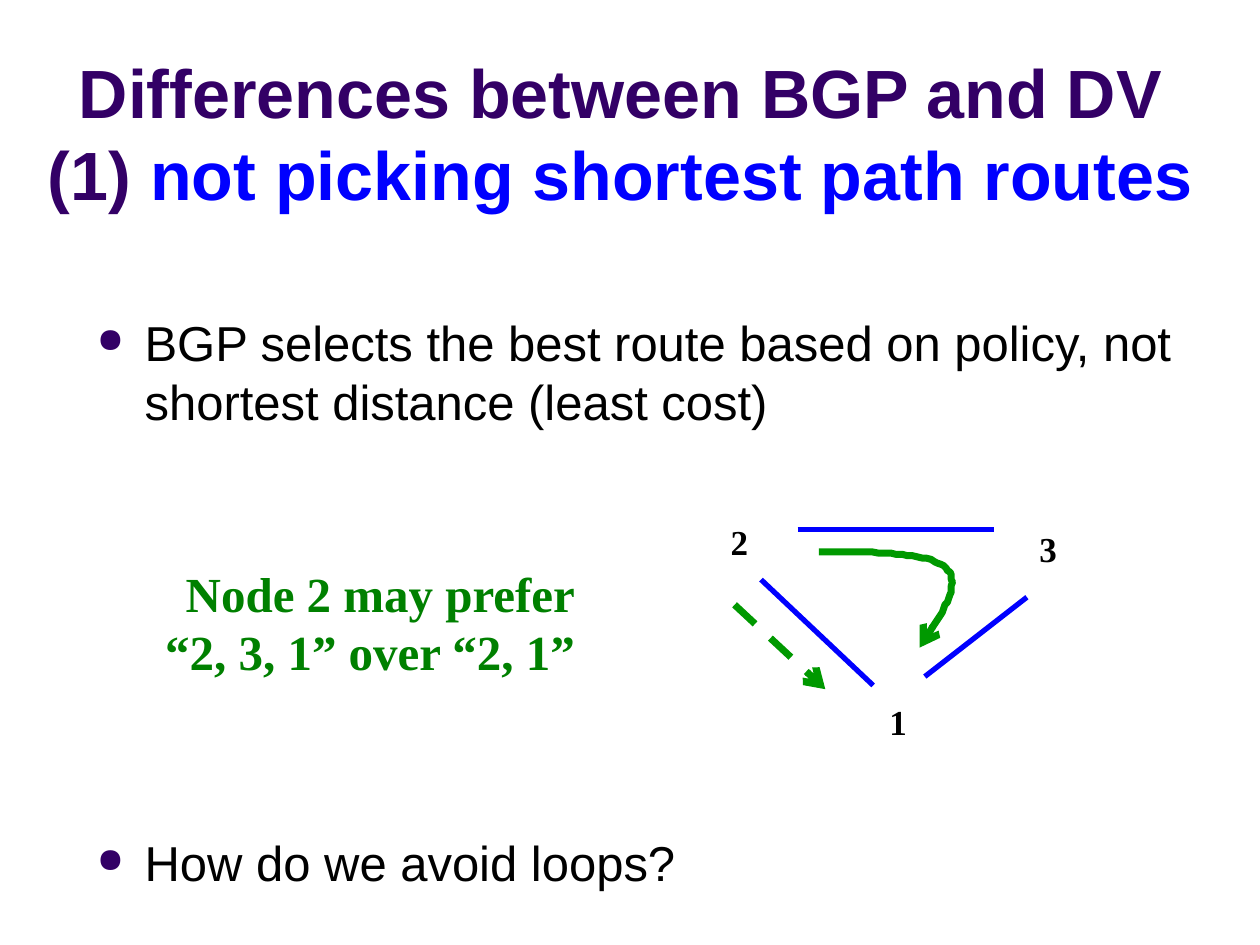
from typing import NamedTuple

from lxml import etree
from pptx import Presentation
from pptx import util as u
from pptx.dml.color import RGBColor
from pptx.enum import dml, shapes, text
from pptx.oxml.ns import qn

PX = 9144  # EMU per px, 100 px to the inch

PURPLE = RGBColor(0x33, 0x00, 0x66)
BLUE = RGBColor(0x00, 0x00, 0xFF)
BLACK = RGBColor(0x00, 0x00, 0x00)
ROUTE_GREEN = RGBColor(0x00, 0x99, 0x00)
NOTE_GREEN = RGBColor(0x00, 0x80, 0x00)
SANS, SERIF = "Arial", "Times New Roman"


class Point(NamedTuple):
    x: int
    y: int


class Node(NamedTuple):
    name: str
    left: int
    top: int


class Link(NamedTuple):
    start: Point
    end: Point


class Bullet(NamedTuple):
    words: str
    space_before: int  # points


NODES = [Node("2", 570, 408), Node("3", 815, 414), Node("1", 696, 551)]
LINKS = [
    Link(Point(633, 420), Point(789, 420)),
    Link(Point(815, 474), Point(734, 537)),
    Link(Point(604, 460), Point(693, 544)),
]
DIRECT_ROUTE = Link(Point(583, 480), Point(655, 547))
# Cubic curves of the preferred route: start, two controls, end
PREFERRED_ROUTE = [
    (Point(650, 438), Point(693, 438), Point(737, 438), Point(751, 451)),
    (Point(751, 451), Point(764, 463), Point(747, 489), Point(730, 514)),
]
BULLETS = [
    Bullet("BGP selects the best route based on policy, not "
           "shortest distance (least cost)", 0),
    Bullet("How do we avoid loops?", 230),
]


def set_font(font, name: str, size: int, color: RGBColor, bold: bool) -> None:
    font.name, font.size, font.bold = name, u.Pt(size), bold
    font.color.rgb = color


def add_box(slide, left: int, top: int, width: int, height: int, wrap: bool = True):
    box = slide.shapes.add_textbox(left * PX, top * PX, width * PX, height * PX)
    box.text_frame.word_wrap = wrap
    return box.text_frame


def style_line(shape, color: RGBColor, width: int, arrow: bool = False) -> None:
    shape.line.color.rgb = color
    shape.line.width = u.Pt(width)
    if arrow:
        properties = shape.line._get_or_add_ln()
        etree.SubElement(properties, qn("a:tailEnd"), type="arrow")


def add_link(slide, link: Link, color: RGBColor, width: int, arrow: bool = False):
    connector = slide.shapes.add_connector(
        shapes.MSO_CONNECTOR.STRAIGHT,
        *(value * PX for point in link for value in point))
    if arrow:
        connector.line.dash_style = dml.MSO_LINE.DASH
    style_line(connector, color, width, arrow)
    etree.SubElement(connector._element.spPr, qn("a:effectLst"))
    return connector


def curve_points(curve, steps: int = 24) -> list[tuple[float, float]]:
    """Points along a cubic curve, without its start."""
    points = []
    for step in range(1, steps + 1):
        t = step / steps
        weights = ((1 - t) ** 3, 3 * t * (1 - t) ** 2, 3 * t * t * (1 - t), t ** 3)
        points.append((sum(w * p.x for w, p in zip(weights, curve)),
                       sum(w * p.y for w, p in zip(weights, curve))))
    return points


def add_curve(slide, curves, color: RGBColor, width: int) -> None:
    start = curves[0][0]
    builder = slide.shapes.build_freeform(start.x, start.y, scale=PX)
    for curve in curves:
        builder.add_line_segments(curve_points(curve), close=False)
    shape = builder.convert_to_shape()
    shape.shadow.inherit = False
    shape.fill.background()
    style_line(shape, color, width, arrow=True)


def add_bullet(paragraph, bullet: Bullet) -> None:
    paragraph.text = bullet.words
    properties = paragraph._p.get_or_add_pPr()
    properties.set("marL", str(38 * PX))
    properties.set("indent", str(-38 * PX))
    color = etree.SubElement(properties, qn("a:buClr"))
    etree.SubElement(color, qn("a:srgbClr"), val=str(PURPLE))
    etree.SubElement(properties, qn("a:buSzPct"), val="70000")
    etree.SubElement(properties, qn("a:buChar"), char="●")
    paragraph.space_before = u.Pt(bullet.space_before)
    set_font(paragraph.font, SANS, 28, BLACK, False)


def fill_title(title) -> None:
    title.left, title.top, title.width, title.height = (
        value * PX for value in (0, 47, 1000, 128))
    frame = title.text_frame
    frame.auto_size = text.MSO_AUTO_SIZE.NONE
    frame.vertical_anchor = text.MSO_ANCHOR.BOTTOM
    paragraph = frame.paragraphs[0]
    paragraph.alignment = text.PP_ALIGN.CENTER
    paragraph.text = "Differences between BGP and DV \v(1)"
    paragraph.add_run().text = " not picking shortest path routes "
    for run in paragraph.runs:
        set_font(run.font, SANS, 39, PURPLE, True)
    paragraph.runs[-1].font.color.rgb = BLUE


def main() -> None:
    presentation = Presentation()
    presentation.slide_width, presentation.slide_height = 1000 * PX, 750 * PX
    slide = presentation.slides.add_slide(presentation.slide_layouts[5])
    fill_title(slide.shapes.title)

    # Bullets above and below the diagram
    body = add_box(slide, 67, 188, 950, 562)
    body.margin_top = 60 * PX
    for index, bullet in enumerate(BULLETS):
        add_bullet(body.add_paragraph() if index else body.paragraphs[0], bullet)

    # Network of three nodes
    for node in NODES:
        paragraph = add_box(slide, node.left, node.top, 34, 43, wrap=False).paragraphs[0]
        paragraph.text = node.name
        set_font(paragraph.font, SERIF, 20, BLACK, True)
    for link in LINKS:
        add_link(slide, link, BLUE, 3)

    # Preferred and direct routes
    add_curve(slide, PREFERRED_ROUTE, ROUTE_GREEN, 4)
    add_link(slide, DIRECT_ROUTE, ROUTE_GREEN, 4, arrow=True)

    # Note on the preferred route
    paragraph = add_box(slide, 58, 442, 408, 104).paragraphs[0]
    paragraph.text = "Node 2 may prefer\v“2, 3, 1” over “2, 1”"
    paragraph.alignment = text.PP_ALIGN.RIGHT
    set_font(paragraph.font, SERIF, 28, NOTE_GREEN, True)

    presentation.save("out.pptx")


if __name__ == "__main__":
    main()
